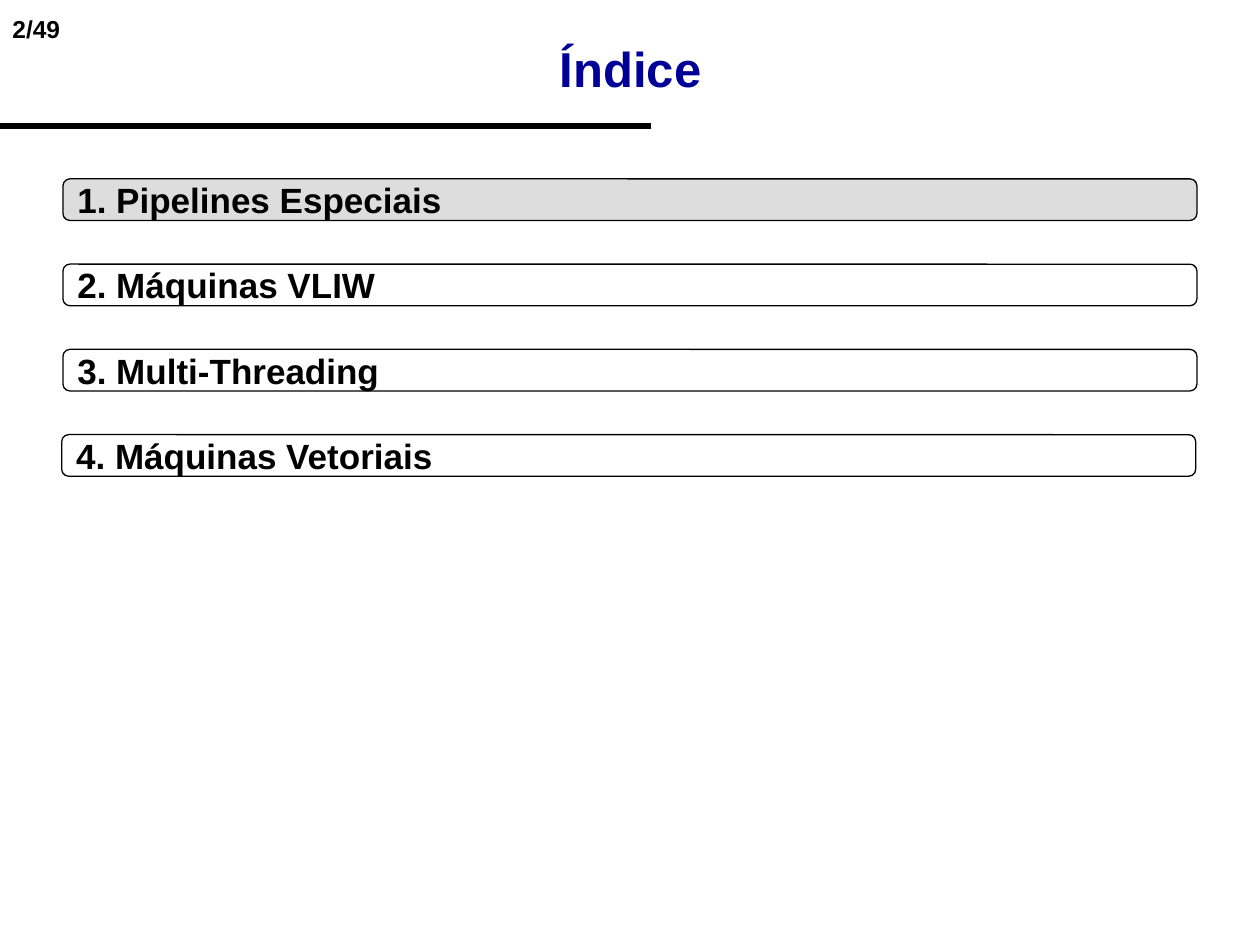
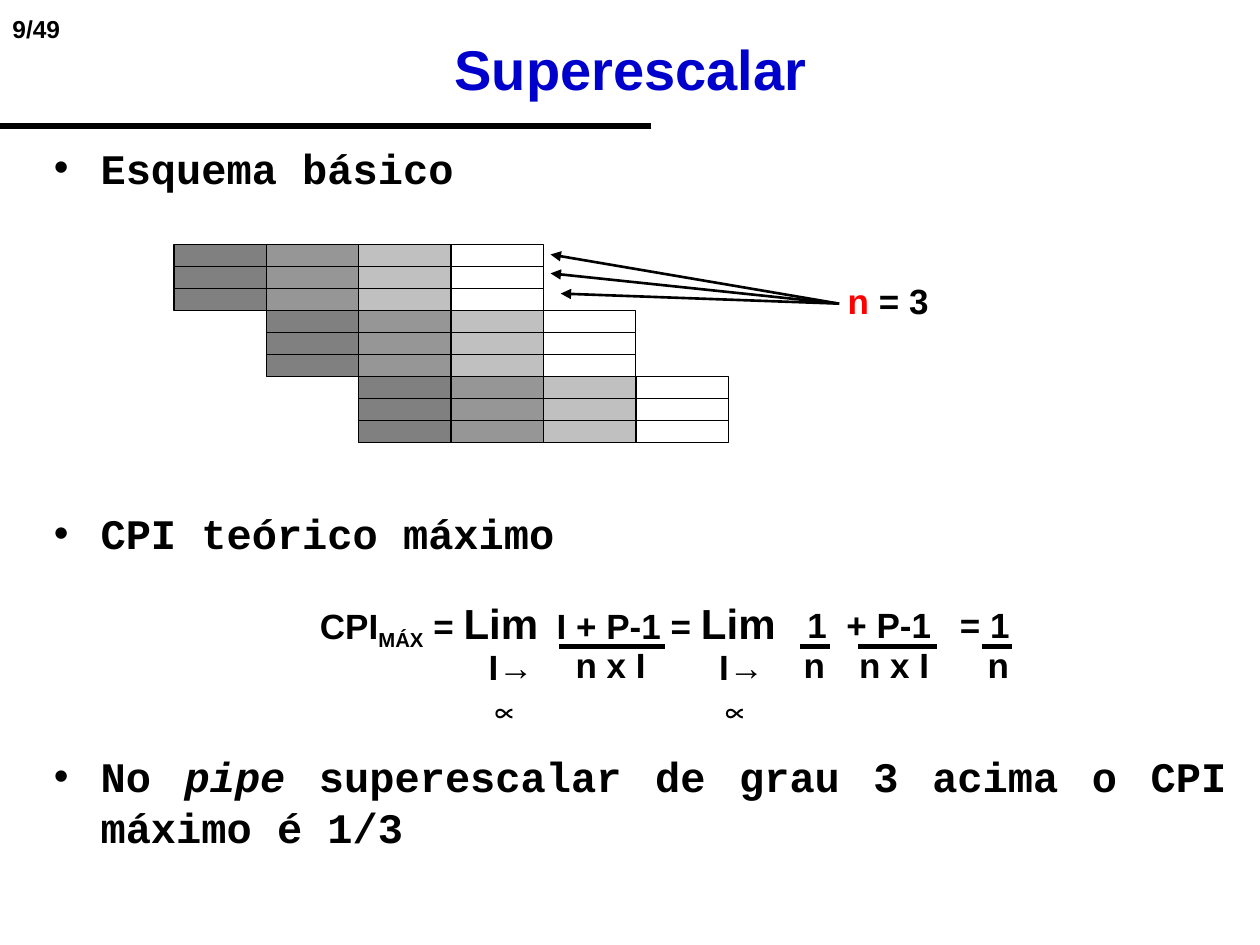
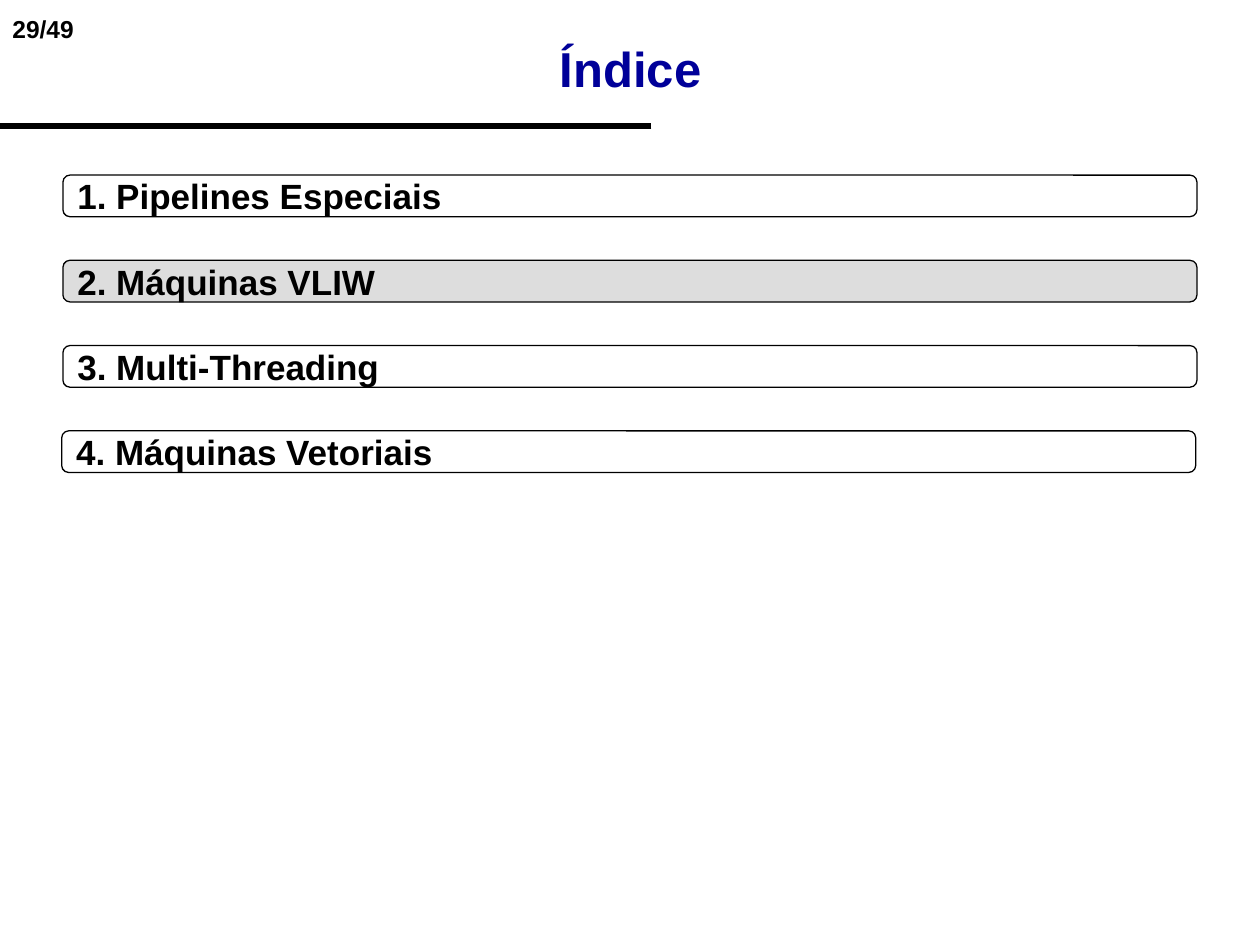
import pptx
import pptx.util
import pptx.dml.color
import pptx.enum.shapes
import pptx.enum.text
import pptx.oxml
import pptx.oxml.ns
from lxml import etree

Inches = pptx.util.Inches
Pt = pptx.util.Pt
Shape = pptx.enum.shapes.MSO_SHAPE
Align = pptx.enum.text.PP_ALIGN
Anchor = pptx.enum.text.MSO_ANCHOR
qn = pptx.oxml.ns.qn

BLACK = "000000"
RED = "FF0000"
NAVY = "000099"
BLUE = "0000CC"
ACTIVE = "DDDDDD"
STAGES = ["808080", "969696", "C0C0C0", "FFFFFF"]
TOPICS = ["Pipelines Especiais", "Máquinas VLIW", "Multi-Threading", "Máquinas Vetoriais"]


def color(code):
    return pptx.dml.color.RGBColor.from_string(code)


class Deck:
    sans = "Arial"
    mono = "Courier New"
    total = 49

    def __init__(self):
        self.file = pptx.Presentation()
        self.file.slide_width = Inches(10)
        self.file.slide_height = Inches(7.5)
        self.slide = None

    def start(self, page, title, size, tint):
        self.slide = self.file.slides.add_slide(self.file.slide_layouts[6])
        self.label(0, 0.06, 1.41, 0.34, f"{page}/{self.total}", 14)
        self.line((5.17, 1), (0, 1), 3)
        head = self.label(0.42, 0.33, 9.17, 0.42, title, size, tint)
        head.text_frame.vertical_anchor = Anchor.MIDDLE
        head.text_frame.margin_right = Inches(0.1)
        head.text_frame.paragraphs[0].alignment = Align.CENTER

    def style(self, run, size, tint=BLACK, face=None):
        font = run.font
        font.name = face or self.sans
        font.size = Pt(size)
        font.bold = True
        font.color.rgb = color(tint)

    def label(self, left, top, width, height, text, size=20, tint=BLACK, right=0):
        box = self.slide.shapes.add_textbox(*map(Inches, (left, top, width, height)))
        frame = box.text_frame
        frame.word_wrap = True
        frame.margin_right = Inches(right)
        frame.text = text
        self.style(frame.paragraphs[0].runs[0], size, tint)
        return box

    def add(self, box, text, size=20, tint=BLACK):
        run = box.text_frame.paragraphs[0].add_run()
        run.text = text
        self.style(run, size, tint)
        return run

    def box(self, kind, left, top, width, height, fill=None, host=None):
        host = host or self.slide
        item = host.shapes.add_shape(kind, *map(Inches, (left, top, width, height)))
        item.shadow.inherit = False
        item.line.color.rgb = color(BLACK)
        item.line.width = Pt(0.75)
        if fill:
            item.fill.solid()
            item.fill.fore_color.rgb = color(fill)
        else:
            item.fill.background()
        return item

    def topic(self, left, top, text, fill):
        item = self.box(Shape.ROUNDED_RECTANGLE, left, top, 9, 0.33, fill)
        frame = item.text_frame
        frame.word_wrap = True
        frame.vertical_anchor = Anchor.MIDDLE
        frame.text = text
        frame.paragraphs[0].alignment = Align.JUSTIFY
        self.style(frame.paragraphs[0].runs[0], 20)

    def line(self, start, end, width, arrow=False):
        kind = pptx.enum.shapes.MSO_CONNECTOR.STRAIGHT
        item = self.slide.shapes.add_connector(kind, *map(Inches, start + end))
        item.line.color.rgb = color(BLACK)
        item.line.width = Pt(width)
        if arrow:
            etree.SubElement(item.line._get_or_add_ln(), qn("a:tailEnd"), type="triangle")
        etree.SubElement(item._element.spPr, qn("a:effectLst"))

    def bullets(self, left, top, width, height, items):
        frame = self.slide.shapes.add_textbox(*map(Inches, (left, top, width, height))).text_frame
        frame.word_wrap = True
        for i, (gap, parts) in enumerate(items):
            para = frame.add_paragraph() if i else frame.paragraphs[0]
            para.alignment = Align.JUSTIFY
            para.space_before = Pt(gap)
            props = para._p.get_or_add_pPr()
            props.set("marL", str(Inches(0.37)))
            props.set("indent", str(-Inches(0.37)))
            etree.SubElement(props, qn("a:buFont"), typeface=self.sans)
            etree.SubElement(props, qn("a:buChar"), char="•")
            for text, slant in parts:
                run = para.add_run()
                run.text = text
                run.font.italic = slant
                self.style(run, 24, face=self.mono)


def index(deck, page, top, active):
    deck.start(page, "Índice", 28, NAVY)
    for i, name in enumerate(TOPICS):
        left = 0.49 if i == 3 else 0.5
        deck.topic(left, top + i * 2.03 / 3, f"{i + 1}. {name}", ACTIVE if i == active else None)


def pipeline(deck):
    group = deck.slide.shapes.add_group_shape()
    wide, high = 4.4 / 6, 1.57 / 9
    for row in range(9):
        for col, fill in enumerate(STAGES):
            left = 1.38 + (row // 3 + col) * wide
            deck.box(Shape.RECTANGLE, left, 1.94 + row * high, wide, high, fill, group)
    degree = deck.label(6.63, 2.17, 0.84, 0.44, "n", tint=RED)
    deck.add(degree, " = 3")
    for tip in [(4.37, 2.02), (4.37, 2.17), (4.45, 2.33)]:
        deck.line((6.66, 2.41), tip, 1.5, arrow=True)


def formula(deck):
    cpi = deck.label(2.44, 4.69, 1.95, 0.54, "CPI")
    deck.add(cpi, "MÁX")._r.get_or_add_rPr().set("baseline", "-25000")
    deck.add(cpi, " = ")
    deck.add(cpi, "Lim", 24)
    ratio = deck.label(4.32, 4.69, 1.95, 0.54, "I + P-1")
    deck.add(ratio, " = ")
    deck.add(ratio, "Lim", 24)
    for left, width, text in [(6.31, 0.37, "1"), (6.62, 0.9, "+ P-1"), (7.52, 0.6, "= 1")]:
        deck.label(left, 4.74, width, 0.44, text)
    for left in (3.78, 5.61):
        deck.label(left, 5.07, 0.7, 0.44, "I→∝", right=0.1)
    for left, width, text in [(4.47, 0.75, "n x I"), (6.28, 0.37, "n"),
                              (6.72, 0.75, "n x I"), (7.74, 0.37, "n")]:
        deck.label(left, 5.06, width, 0.44, text)
    for start, end in [(4.44, 5.28), (6.35, 6.59), (6.81, 7.44), (7.79, 8.03)]:
        deck.line((start, 5.13), (end, 5.13), 2.5)


def scalar(deck):
    deck.start(9, "Superescalar", 32, BLUE)
    deck.bullets(0.33, 1.08, 9.5, 5.81, [
        (6, [("Esquema básico", False)]),
        (180, [("CPI teórico máximo", False)]),
        (110, [("No ", False), ("pipe ", True),
               ("superescalar de grau 3 acima o CPI máximo é 1/3", False)]),
    ])
    pipeline(deck)
    formula(deck)


def main():
    deck = Deck()
    index(deck, 2, 1.42, 0)
    scalar(deck)
    index(deck, 29, 1.39, 1)
    deck.file.save("out.pptx")


if __name__ == "__main__":
    main()
